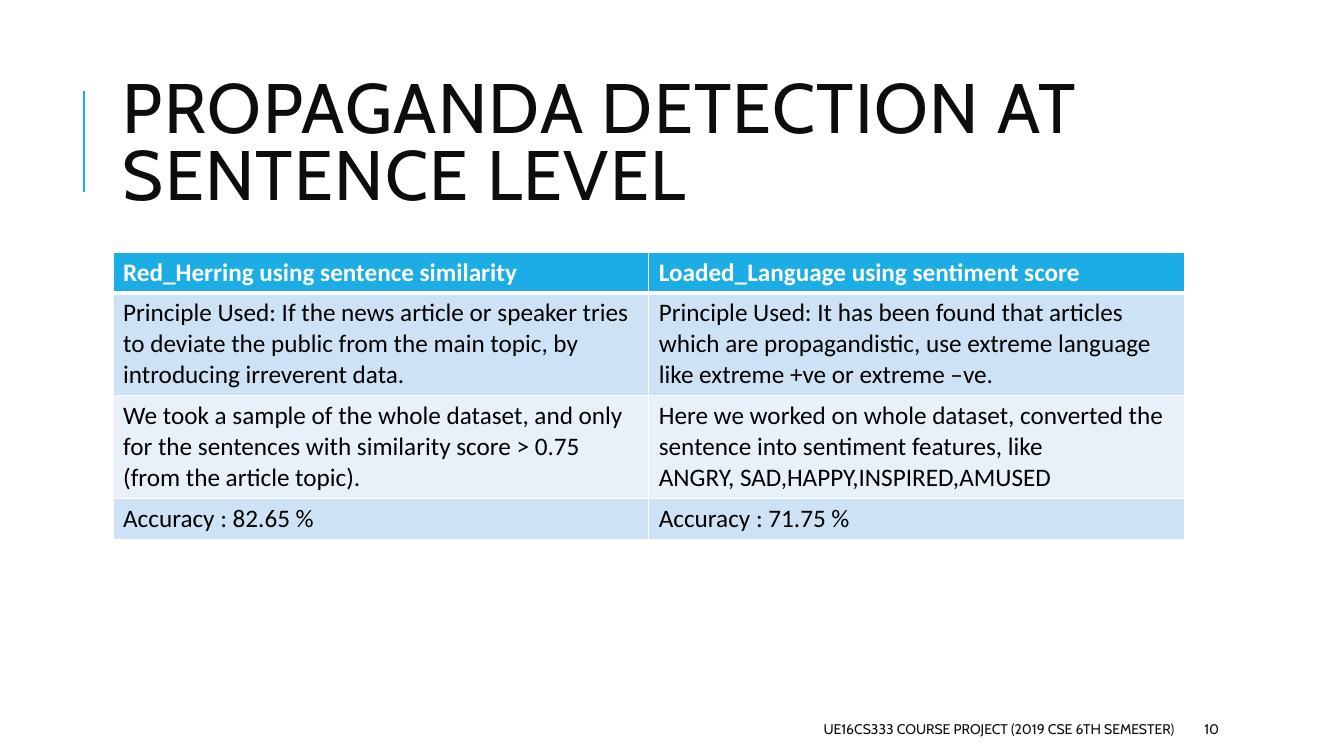
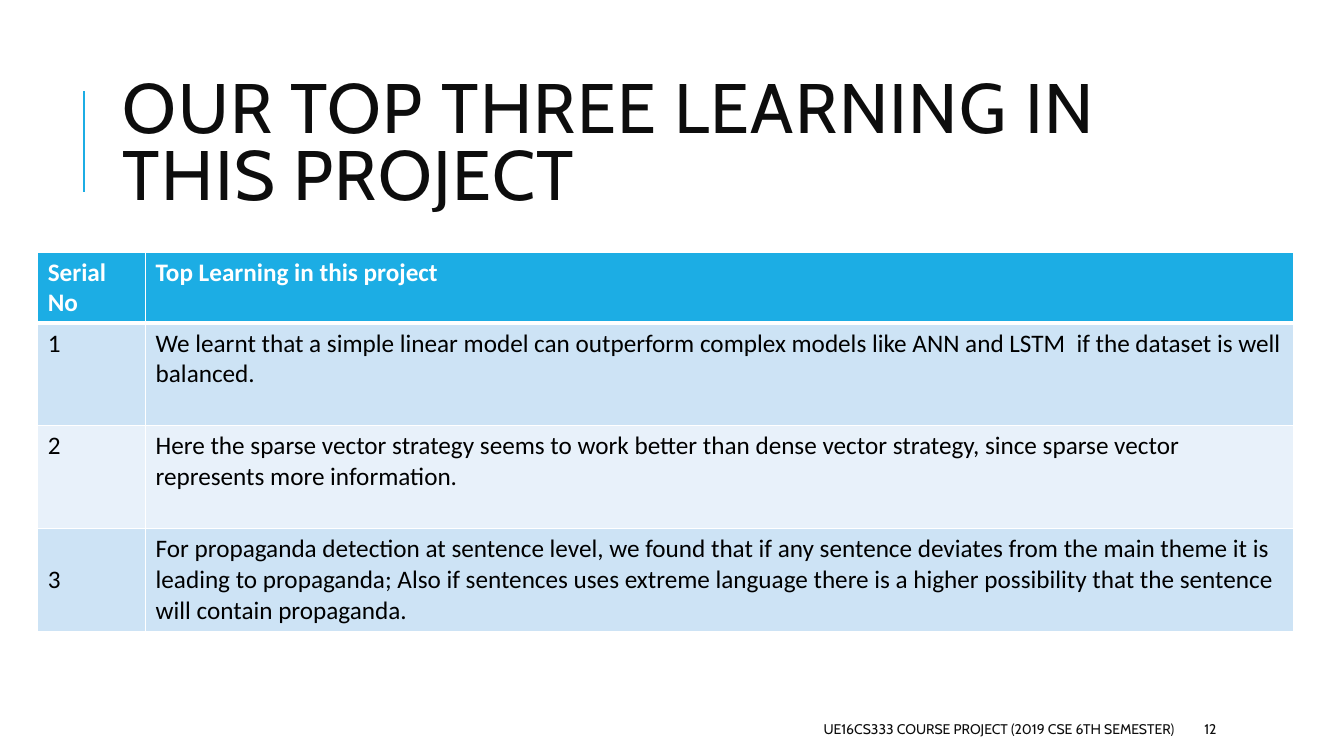
"""Build two project slides, each with a titled table and a footer."""
from lxml import etree
from pptx import Presentation
from pptx import util as u
from pptx.dml.color import RGBColor
from pptx.enum import shapes, text
from pptx.oxml import ns

COLORS = {
    "accent": "1CADE4",
    "title": "0D0D0D",
    "body": "000000",
    "white": "FFFFFF",
    "band_dark": "CDE3F5",
    "band_light": "E8F1FA",
}
FORMATS = {
    "title": {"name": "Cabin", "size": u.Pt(50), "bold": False},
    "footer": {"name": "Cabin", "size": u.Pt(10), "bold": False},
    "header": {"name": "Calibri", "size": u.Pt(18), "bold": True},
    "body": {"name": "Calibri", "size": u.Pt(18), "bold": False},
}
TEXT_COLORS = {"title": "title", "footer": "title", "header": "white", "body": "body"}
FOOTER = "UE16CS333 COURSE PROJECT (2019 CSE 6TH SEMESTER)"
TABLE_TOP = 6.35

SLIDES = [
    {
        "title": "PROPAGANDA DETECTION AT SENTENCE LEVEL",
        "number": "10",
        "left": 2.85,
        "widths": [13.5, 13.5],
        "heights": [1.03, 2.59, 2.59, 1.03],
        "rows": [
            ["Red_Herring using sentence similarity",
             "Loaded_Language using sentiment score"],
            ["Principle Used: If the news article or speaker tries to deviate the public "
             "from the main topic, by introducing irreverent data.",
             "Principle Used: It has been found that articles which are propagandistic, "
             "use extreme language like extreme +ve or extreme –ve."],
            ["We took a sample of the whole dataset, and only for the sentences with "
             "similarity score > 0.75\n(from the article topic).",
             "Here we worked on whole dataset, converted the sentence into sentiment "
             "features, like\nANGRY, SAD,HAPPY,INSPIRED,AMUSED"],
            ["Accuracy : 82.65 %", "Accuracy : 71.75 %"],
        ],
        "centred": [],
    },
    {
        "title": "OUR TOP THREE LEARNING IN THIS PROJECT",
        "number": "12",
        "left": 0.95,
        "widths": [2.72, 28.93],
        "heights": [1.79, 2.59, 2.59, 2.59],
        "rows": [
            ["Serial\nNo", "Top Learning in this project"],
            ["1", "We learnt that a simple linear model can outperform complex models "
                  "like ANN and LSTM  if the dataset is well balanced."],
            ["2", "Here the sparse vector strategy seems to work better than dense vector "
                  "strategy, since sparse vector represents more information."],
            ["3", "For propaganda detection at sentence level, we found that if any sentence "
                  "deviates from the main theme it is leading to propaganda; Also if sentences "
                  "uses extreme language there is a higher possibility that the sentence will "
                  "contain propaganda."],
        ],
        "centred": [(3, 0)],
    },
]


def color(name):
    return RGBColor.from_string(COLORS[name])


class Deck:
    def __init__(self):
        self.presentation = Presentation()
        self.presentation.slide_width = u.Cm(33.87)
        self.presentation.slide_height = u.Cm(19.05)
        self.slide = None

    def add_slide(self):
        layout = self.presentation.slide_layouts[6]
        self.slide = self.presentation.slides.add_slide(layout)

    def fill_text(self, frame, content, style, align=text.PP_ALIGN.LEFT, spacing=1.0, tracking=0):
        frame.word_wrap = True
        frame.text = content
        for paragraph in frame.paragraphs:
            paragraph.alignment = align
            paragraph.line_spacing = spacing
            for run in paragraph.runs:
                for attribute, value in FORMATS[style].items():
                    setattr(run.font, attribute, value)
                run.font.color.rgb = color(TEXT_COLORS[style])
                if tracking:
                    run._r.get_or_add_rPr().set("spc", str(tracking))

    def text_box(self, box, content, style, **options):
        frame = self.slide.shapes.add_textbox(*map(u.Cm, box)).text_frame
        frame.vertical_anchor = text.MSO_ANCHOR.MIDDLE
        self.fill_text(frame, content, style, **options)

    def title(self, content):
        ends = map(u.Cm, (2.12, 4.83, 2.12, 2.29))
        line = self.slide.shapes.add_connector(shapes.MSO_CONNECTOR.STRAIGHT, *ends)
        line.line.color.rgb = color("accent")
        line.line.width = u.Pt(1.5)
        etree.SubElement(line._element.spPr, ns.qn("a:effectLst"))
        self.text_box((2.85, 1.63, 27, 4.16), content, "title", spacing=0.8, tracking=100)

    def footer(self, number):
        self.text_box((13.46, 17.98, 16.38, 0.76), FOOTER, "footer", align=text.PP_ALIGN.RIGHT)
        self.text_box((30.1, 17.98, 2.69, 0.76), number, "footer")

    def borders(self, cell, widths):
        properties = cell._tc.get_or_add_tcPr()
        for index, (side, width) in enumerate(widths.items()):
            line = etree.Element(ns.qn(f"a:ln{side}"), w=str(u.Pt(width)))
            fill = etree.SubElement(line, ns.qn("a:solidFill"))
            etree.SubElement(fill, ns.qn("a:srgbClr"), val=COLORS["white"])
            properties.insert(index, line)

    def table(self, left, widths, heights, rows, centred):
        box = map(u.Cm, (left, TABLE_TOP, sum(widths), sum(heights)))
        table = self.slide.shapes.add_table(len(rows), len(widths), *box).table
        table.horz_banding = False
        for column, width in zip(table.columns, widths):
            column.width = u.Cm(width)
        for index, (height, contents) in enumerate(zip(heights, rows)):
            table.rows[index].height = u.Cm(height)
            band = "band_dark" if index % 2 else "band_light"
            for position, content in enumerate(contents):
                cell = table.cell(index, position)
                cell.fill.solid()
                cell.fill.fore_color.rgb = color(band if index else "accent")
                self.fill_text(cell.text_frame, content, "body" if index else "header")
                if (index, position) in centred:
                    cell.vertical_anchor = text.MSO_ANCHOR.MIDDLE
                self.borders(cell, {"L": 1, "R": 1, "T": 3 if index == 1 else 1,
                                    "B": 1 if index else 3})


def main():
    deck = Deck()
    for content in SLIDES:
        deck.add_slide()
        deck.title(content["title"])
        deck.table(*(content[key] for key in ("left", "widths", "heights", "rows", "centred")))
        deck.footer(content["number"])
    deck.presentation.save("out.pptx")


if __name__ == "__main__":
    main()
